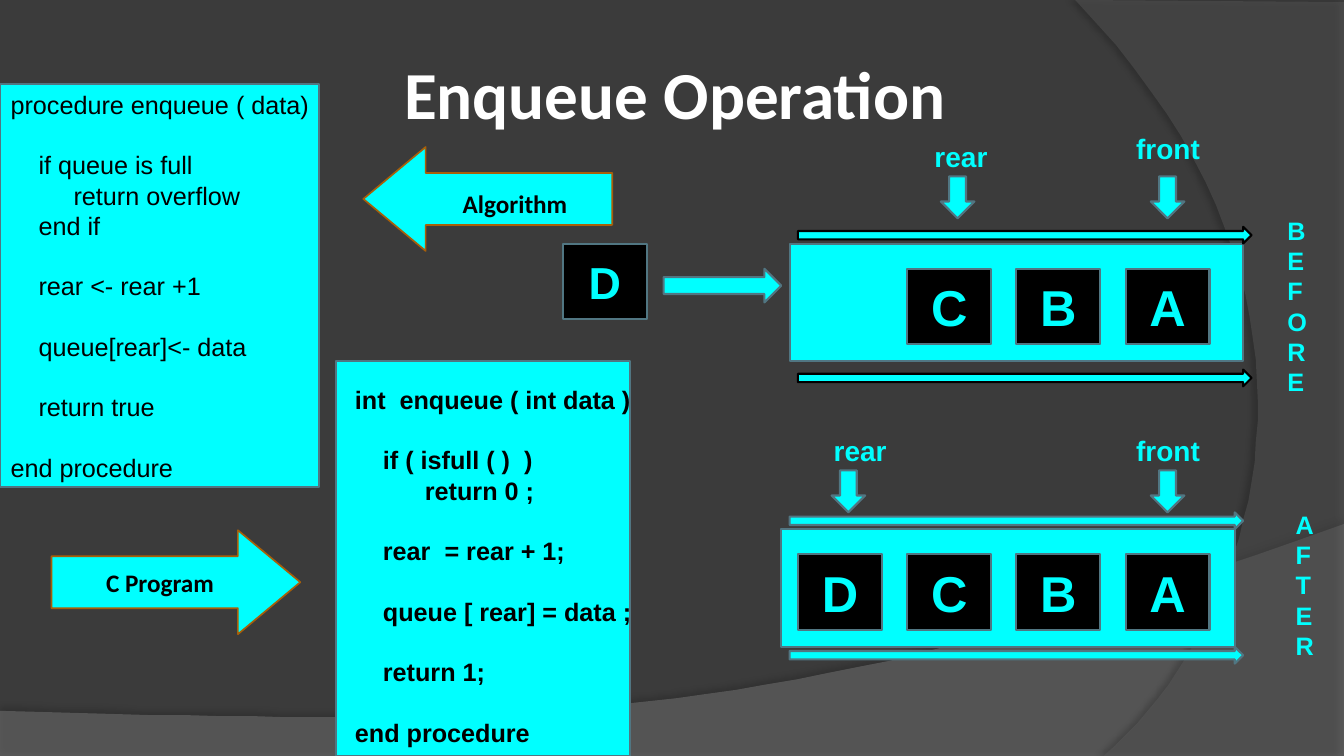
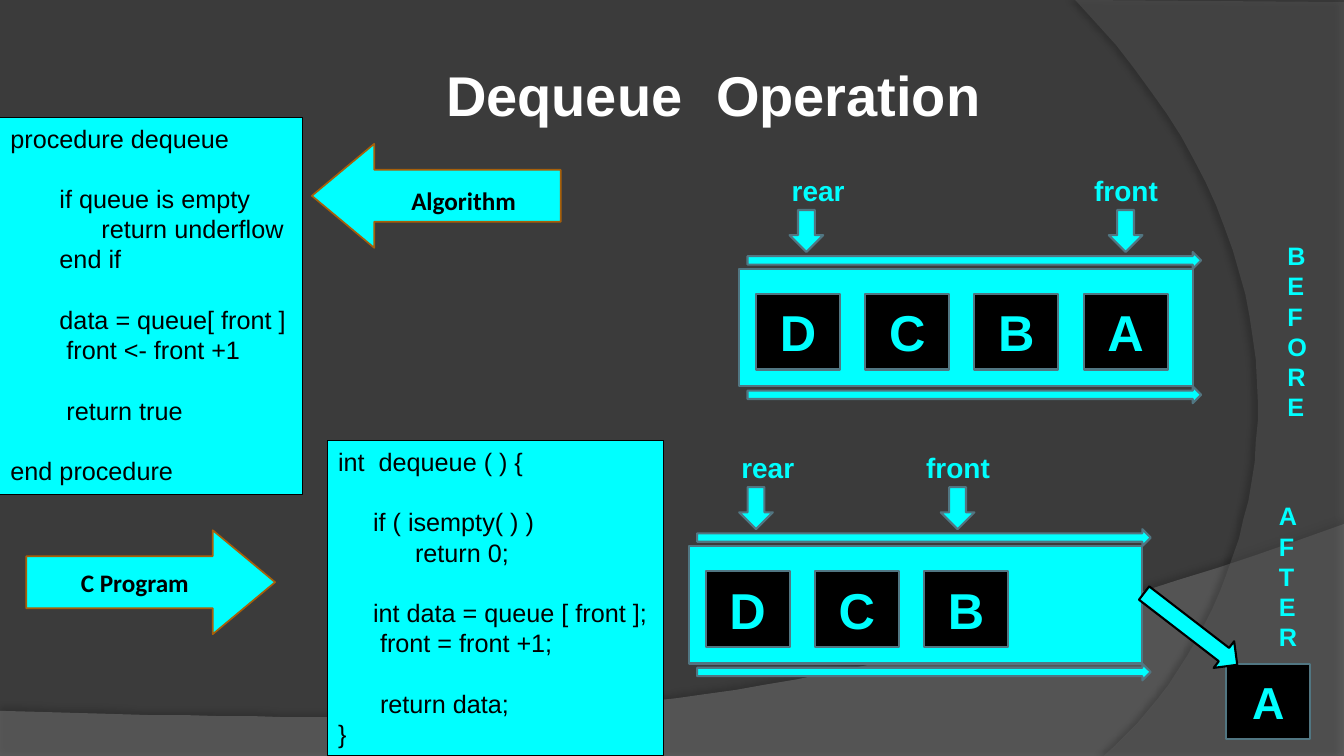
from lxml import etree
from pptx import Presentation
from pptx import util as u
from pptx.dml.color import RGBColor
from pptx.enum import shapes, text
from pptx.oxml import ns

PX = 9525  # EMU in one px (96 px to the inch)
CYAN, BLACK, WHITE, SLATE, BROWN = "00FFFF", "000000", "FFFFFF", "517682", "A75F09"
KIND = shapes.MSO_SHAPE
MIDDLE = text.MSO_ANCHOR.MIDDLE
CENTER = text.PP_ALIGN.CENTER
LEADING = u.Pt(21.6)
SPACE = u.Pt(5)  # one step of code indent
CELL_W, CELL_H, CELL_STEP = 80, 72, 104
TRACK_W, TRACK_H, RAIL_H = 432, 112, 16


def draw(page, kind, rect, fill=None, line=SLATE, weight=1.5):
    """Add a preset shape, or a text box when kind is None."""
    place = [value * PX for value in rect]
    if kind is None:
        return page.shapes.add_textbox(*place)
    shape = page.shapes.add_shape(kind, *place)
    shape.shadow.inherit = False
    shape.fill.solid()
    shape.fill.fore_color.rgb = RGBColor.from_string(fill)
    shape.line.color.rgb = RGBColor.from_string(line)
    shape.line.width = u.Pt(weight)
    return shape


def write(box, lines, size, colour, bold=True, font="Arial", align=text.PP_ALIGN.LEFT,
          anchor=text.MSO_ANCHOR.TOP, insets=(10, 5, 10, 5), leading=None):
    """Fill a shape with lines of (indent steps, text, blank lines above)."""
    frame = box.text_frame
    frame.word_wrap = True
    frame.vertical_anchor = anchor
    (frame.margin_left, frame.margin_top,
     frame.margin_right, frame.margin_bottom) = [value * PX for value in insets]
    for number, (indent, words, blank) in enumerate(lines):
        para = frame.add_paragraph() if number else frame.paragraphs[0]
        para.text = words
        para.alignment = align
        if leading:
            para.line_spacing = leading
        if blank:
            para.space_before = LEADING * blank
        if indent:
            para._p.get_or_add_pPr().set("marL", str(SPACE * indent))
        para.font.name = font
        para.font.size = u.Pt(size)
        para.font.bold = bold
        para.font.color.rgb = RGBColor.from_string(colour)


deck = Presentation()
deck.slide_width, deck.slide_height = 1280 * PX, 720 * PX
blank_layout = deck.slide_layouts[6]
pages = [deck.slides.add_slide(blank_layout) for _ in range(2)]

# Shared background: dark ground and two translucent curved bands on the layout
ground = deck.slide_master.background.fill
ground.solid()
ground.fore_color.rgb = RGBColor.from_string("3B3B3B")

# Corners, Bezier points, colour, opacity, shadow opacity, distance, direction
bands = [
    ([(0, 720), (1280, 720)], [(1280, 499), (715, 700), (500, 690), (0, 677)],
     "7F7F7F", 45, 35, 3.5, 270),
    ([(1280, 2), (1280, 720)], [(1051, 720), (1196, 594), (1303, 288), (1024, 0)],
     "5E5E5E", 40, 45, 4, 180),
]
for corners, curve, colour, opacity, shade, distance, direction in bands:
    outline = corners[1:]
    for step in range(41):
        t = step / 40
        weights = ((1 - t) ** 3, 3 * t * (1 - t) ** 2, 3 * t * t * (1 - t), t ** 3)
        outline.append(tuple(sum(w * point[axis] for w, point in zip(weights, curve))
                             for axis in (0, 1)))
    builder = pages[0].shapes.build_freeform(*corners[0], scale=PX)
    builder.add_line_segments(outline, close=True)
    band = builder.convert_to_shape()
    band.shadow.inherit = False
    band.fill.solid()
    band.fill.fore_color.rgb = RGBColor.from_string(colour)
    band.line.fill.background()
    tint = band.element.find(".//" + ns.qn("a:solidFill") + "/" + ns.qn("a:srgbClr"))
    etree.SubElement(tint, ns.qn("a:alpha"), val=str(opacity * 1000))
    effects = band.element.find(".//" + ns.qn("a:effectLst"))
    shadow = etree.SubElement(
        effects, ns.qn("a:outerShdw"), blurRad=str(u.Pt(4)), dist=str(u.Pt(distance)),
        dir=str(direction * 60000), algn="ctr", rotWithShape="0")
    shadow_colour = etree.SubElement(shadow, ns.qn("a:srgbClr"), val=BLACK)
    etree.SubElement(shadow_colour, ns.qn("a:alpha"), val=str(shade * 1000))
    blank_layout.shapes.element.append(band.element)

# Content of the two slides
enqueue = {
    "title": ("Enqueue Operation", (384, 48, 632, 79), 48, "Calibri"),
    "panel_line": (SLATE, 1.5),
    # Panel, text area, bold, lines
    "code": [
        ((0, 80, 304, 384), (0, 80, 320, 388), False, [
            (0, "procedure enqueue ( data)", 0),
            (4, "if queue is full", 1),
            (9, "return overflow", 0),
            (4, "end if", 0),
            (4, "rear <- rear +1", 1),
            (4, "queue[rear]<- data", 1),
            (4, "return true", 1),
            (0, "end procedure", 1)]),
        ((320, 344, 280, 376), (328, 361, 304, 359), True, [
            (0, "int  enqueue ( int data )", 0),
            (4, "if ( isfull ( )  )", 1),
            (10, "return 0 ;", 0),
            (4, "rear  = rear + 1;", 1),
            (4, "queue [ rear] = data ;", 1),
            (4, "return 1;", 1),
            (0, "end procedure", 1)]),
    ],
    "algorithm_at": (346, 140),
    "program_at": (49, 505),
    # Track corner, first cell x, letters, rail line, lower rail and arrow offsets,
    # pointers as (name, label x, label y, arrow x)
    "queues": [
        (752, 232, 864, "CBA", BLACK, 120, -64,
         [("rear", 880, 128, 896), ("front", 1072, 120, 1096)]),
        (744, 504, 760, "DCBA", SLATE, 112, -56,
         [("rear", 784, 408, 792), ("front", 1072, 408, 1096)]),
    ],
    "moving": ("D", 536, 232),
    "move_arrow": ((632, 256, 112, 32), 0, SLATE),
    "states": [("BEFORE", 1216, 200), ("AFTER", 1224, 480)],
}
dequeue = {
    "title": ("Dequeue\tOperation", (424, 56, 511, 66), 40, "Arial"),
    "panel_line": (BLACK, 0.75),
    "code": [
        ((0, 112, 288, 359), (0, 112, 288, 359), False, [
            (0, "procedure dequeue", 0),
            (7, "if queue is empty", 1),
            (13, "return underflow", 0),
            (7, "end if", 0),
            (7, "data = queue[ front ]", 1),
            (8, "front <- front +1", 0),
            (8, "return true", 1),
            (0, "end procedure", 1)]),
        ((312, 420, 320, 300), (312, 420, 320, 300), False, [
            (0, "int  dequeue ( ) {", 0),
            (5, "if ( isempty( ) )", 1),
            (11, "return 0;", 0),
            (5, "int data = queue [ front ];", 1),
            (6, "front = front +1;", 0),
            (6, "return data;", 1),
            (0, "}", 0)]),
    ],
    "algorithm_at": (297, 137),
    "program_at": (25, 505),
    "queues": [
        (704, 256, 720, "DCBA", SLATE, 112, -56,
         [("rear", 744, 160, 752), ("front", 1032, 160, 1056)]),
        (656, 520, 672, "DCB", SLATE, 112, -56,
         [("rear", 696, 424, 704), ("front", 872, 424, 896)]),
    ],
    "moving": ("A", 1168, 632),
    "move_arrow": ((1078, 583, 112, 32), 37.6, BLACK),
    "states": [("BEFORE", 1216, 224), ("AFTER", 1208, 472)],
}

for page, content in zip(pages, (enqueue, dequeue)):
    # Title, with a tab stop between its words where needed
    words, rect, size, font = content["title"]
    title = draw(page, None, rect)
    write(title, [(0, words, 0)], size, WHITE, font=font, anchor=MIDDLE, insets=(1, 1, 0, 0))
    if "\t" in words:
        tabs = etree.Element(ns.qn("a:tabLst"))
        etree.SubElement(tabs, ns.qn("a:tab"), pos=str(257 * PX), algn="l")
        title.text_frame.paragraphs[0]._p.get_or_add_pPr().insert(0, tabs)

    # Code panels
    for panel, area, bold, lines in content["code"]:
        draw(page, KIND.RECTANGLE, panel, CYAN, *content["panel_line"])
        write(draw(page, None, area), lines, 18, BLACK, bold, leading=LEADING)

    # Block arrows naming the panels
    for kind, words, corner, insets in (
            (KIND.LEFT_ARROW, "Algorithm", content["algorithm_at"], (65, 8, 0, 0)),
            (KIND.RIGHT_ARROW, "C Program", content["program_at"], (52, 0, 0, 0))):
        arrow = draw(page, kind, (*corner, 237, 99), CYAN, BROWN, 1.2)
        arrow.adjustments[0], arrow.adjustments[1] = 0.5, 0.6
        write(arrow, [(0, words, 0)], 18, BLACK, font="Calibri", anchor=MIDDLE, insets=insets)

    # Queues: track, cells, pointers and rails
    cells = []
    for x, y, first, letters, rail_line, lower, arrow_dy, pointers in content["queues"]:
        draw(page, KIND.RECTANGLE, (x, y, TRACK_W, TRACK_H), CYAN)
        cells = [(letter, first + CELL_STEP * i, y + 24, 36) for i, letter in enumerate(letters)]
        if y == content["queues"][0][1]:
            cells.append((*content["moving"], 32))
        for letter, left, top, size in cells:
            cell = draw(page, KIND.RECTANGLE, (left, top, CELL_W, CELL_H), BLACK)
            write(cell, [(0, letter, 0)], size, CYAN, align=CENTER, anchor=MIDDLE)
        for name, label_x, label_y, arrow_x in pointers:
            draw(page, KIND.DOWN_ARROW, (arrow_x, y + arrow_dy, 32, 40), CYAN)
            label = draw(page, None, (label_x, label_y, 104, 42))
            write(label, [(0, name, 0)], 20, CYAN)
        for rail_dy in (-RAIL_H, lower):
            draw(page, KIND.RIGHT_ARROW, (x + 8, y + rail_dy, TRACK_W, RAIL_H), CYAN, rail_line)

    # Arrow of the moving element
    rect, turn, line = content["move_arrow"]
    draw(page, KIND.RIGHT_ARROW, rect, CYAN, line).rotation = turn

    # State names, one letter to a line in a narrow box
    for name, left, top in content["states"]:
        state = draw(page, None, (left, top, 24, 184))
        write(state, [(0, name, 0)], 18, CYAN, leading=LEADING)

deck.save("out.pptx")
